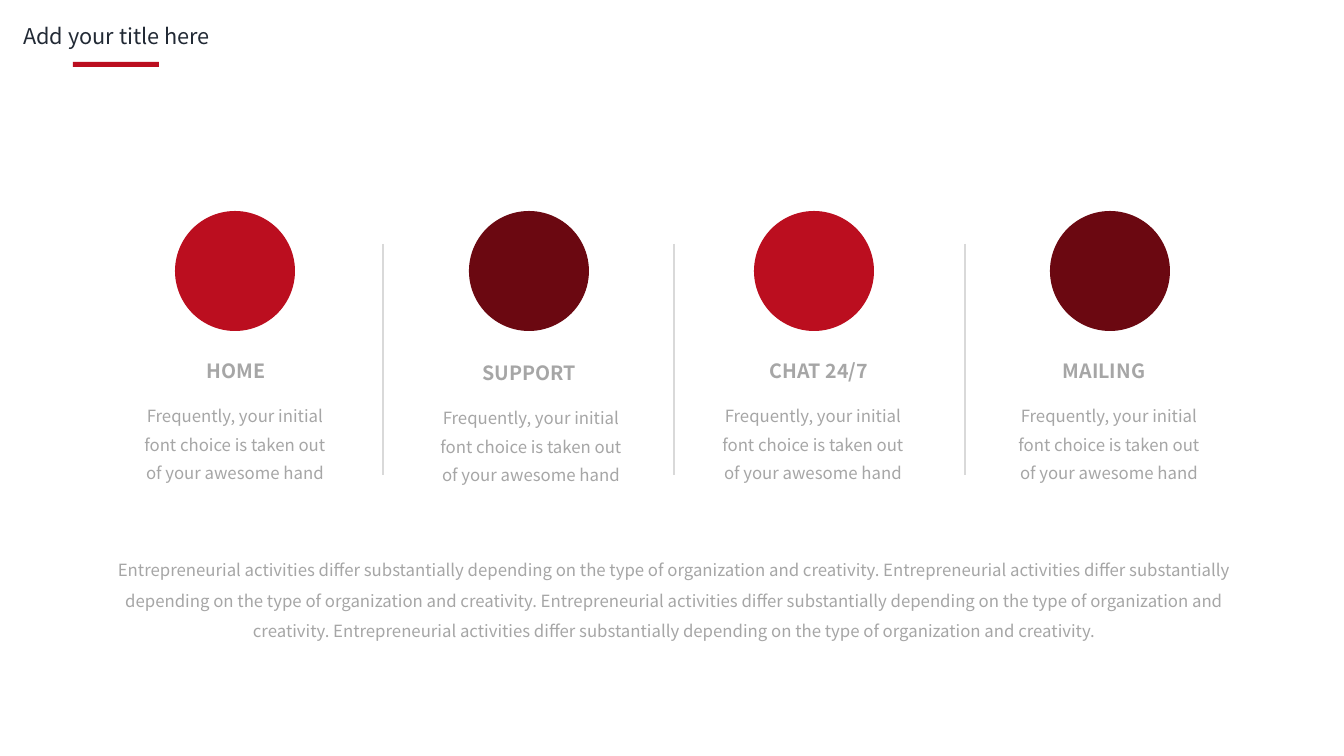
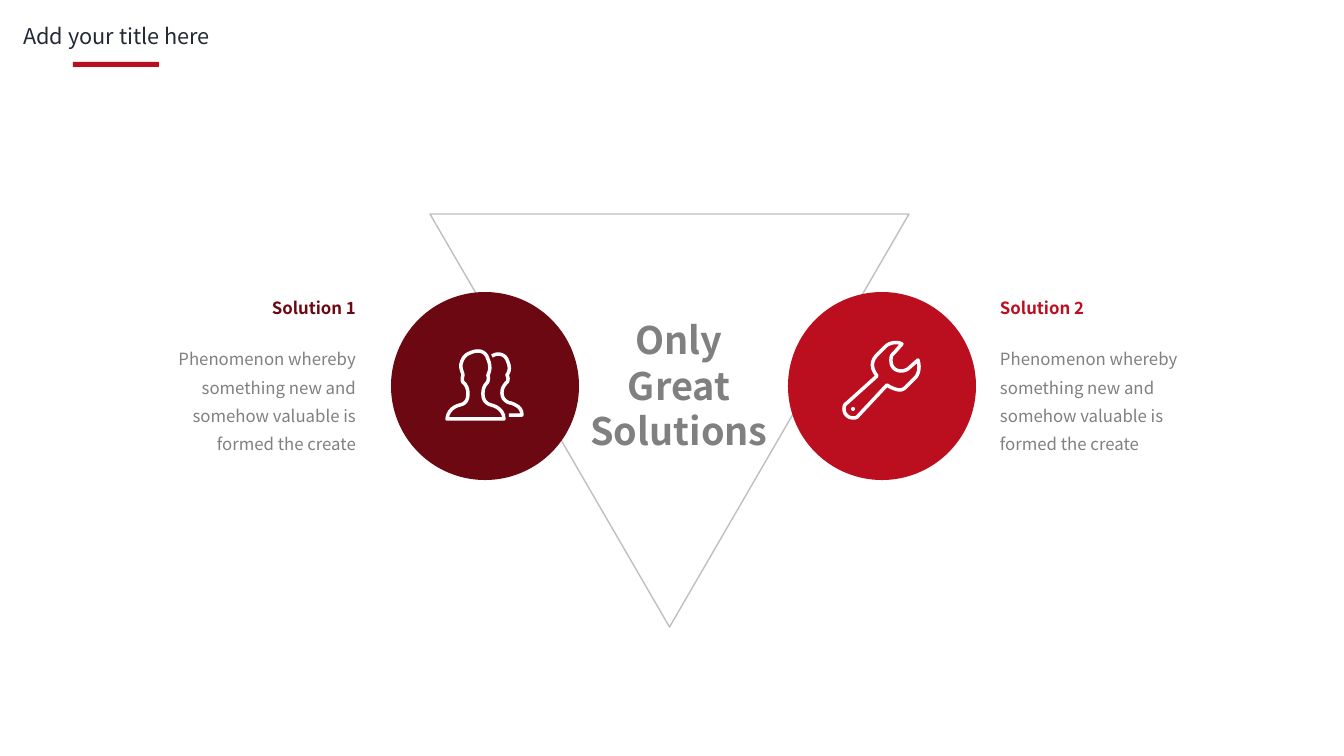
from pptx import Presentation
from pptx.dml.color import RGBColor
from pptx.enum.shapes import MSO_CONNECTOR, MSO_SHAPE as SHAPE
from pptx.enum.text import MSO_ANCHOR, MSO_AUTO_SIZE, PP_ALIGN as ALIGN
from pptx.oxml.ns import qn
from pptx.util import Pt
from lxml import etree

PX = 9071  # EMU per px
FONT = "Noto Sans CJK SC"
RED, DARK_RED, WHITE = "BB0E1F", "6B0811", "FFFFFF"
INK, GREY, LIGHT_GREY = "222A35", "808080", "A6A6A6"
RULE, OUTLINE = "D9D9D9", "BFBFBF"
BODY_LEADING = Pt(20.2)


def rgb(value):
    return RGBColor.from_string(value)


def write(sp, lines, size, color, bold=False, align=ALIGN.CENTER, spacing=1.0, wrap=True):
    """Fill a shape's text frame with one paragraph per line."""
    tf = sp.text_frame
    tf.word_wrap = wrap
    tf.auto_size = MSO_AUTO_SIZE.NONE if wrap else MSO_AUTO_SIZE.SHAPE_TO_FIT_TEXT
    tf.vertical_anchor = MSO_ANCHOR.TOP
    tf.margin_left = tf.margin_right = 10 * PX
    tf.margin_top = tf.margin_bottom = 5 * PX
    for i, line in enumerate(lines):
        p = tf.add_paragraph() if i else tf.paragraphs[0]
        p.alignment = align
        p.line_spacing = spacing
        p.space_before = Pt(0)
        r = p.add_run()
        r.text = line
        r.font.name, r.font.size, r.font.bold = FONT, Pt(size), bold
        r.font.color.rgb = rgb(color)


prs = Presentation()
prs.slide_width, prs.slide_height = 1344 * PX, 756 * PX
services, solutions = [prs.slides.add_slide(prs.slide_layouts[5]) for _ in range(2)]

# Titles
for slide in (services, solutions):
    title = slide.shapes.title
    title.left, title.top, title.width, title.height = [v * PX for v in (6, 13, 221, 40)]
    write(title, ["Add your title here"], 15.5, INK, spacing=1.2, wrap=False)

# Service columns: heading, fill, circle left, heading centre, text centre, text drop
columns = [
    ("HOME", RED, 175, 236, 235, 0),
    ("SUPPORT", DARK_RED, 469, 529, 531, 2),
    ("CHAT 24/7", RED, 754, 819, 813, 0),
    ("MAILING", DARK_RED, 1050, 1104, 1109, 0),
]

# Shapes: slide, preset, box, fill
shapes = [
    (services, SHAPE.RECTANGLE, (73, 62, 86, 5), RED),
    (solutions, SHAPE.RECTANGLE, (73, 62, 86, 5), RED),
    (solutions, SHAPE.ISOSCELES_TRIANGLE, (430, 214, 479, 413), None),
    (solutions, SHAPE.OVAL, (391, 292, 188, 188), DARK_RED),
    (solutions, SHAPE.OVAL, (788, 292, 188, 188), RED),
    (solutions, SHAPE.OVAL, (851, 407, 4, 4), WHITE),
]
shapes += [(services, SHAPE.OVAL, (left, 211, 120, 120), fill)
           for _, fill, left, *_ in columns]
for slide, preset, box, fill in shapes:
    sp = slide.shapes.add_shape(preset, *[v * PX for v in box])
    sp.shadow.inherit = False
    if fill:
        sp.fill.solid()
        sp.fill.fore_color.rgb = rgb(fill)
        sp.line.fill.background()
    else:
        sp.rotation = 180
        sp.fill.background()
        sp.line.color.rgb = rgb(OUTLINE)
        sp.line.width = Pt(1)

# Dividers between the columns
for x in (383, 674, 965):
    line = services.shapes.add_connector(
        MSO_CONNECTOR.STRAIGHT, x * PX, 244 * PX, x * PX, 475 * PX)
    line.line.color.rgb = rgb(RULE)
    line.line.width = Pt(1)
    etree.SubElement(line._element.spPr, qn("a:effectLst"))

# Text boxes: slide, box, lines, formatting
service_text = "Frequently, your initial font choice is taken out of your awesome hand"
activity = ("Entrepreneurial activities differ substantially depending on "
            "the type of organization and creativity.")
solution_text = "Phenomenon whereby something new and somehow valuable is formed the create"
texts = [
    (services, (95, 545, 1159, 132), [" ".join([activity] * 4)],
     dict(size=12, color=LIGHT_GREY, spacing=1.5)),
    (solutions, (579, 312, 200, 147), ["Only", "Great", "Solutions"],
     dict(size=27, color=GREY, bold=True, wrap=False)),
]
for heading, _, _, heading_x, text_x, drop in columns:
    texts += [
        (services, (heading_x - 60, 354 + drop, 120, 34), [heading],
         dict(size=14, color=LIGHT_GREY, bold=True, wrap=False)),
        (services, (text_x - 102, 393 + drop, 204, 120), [service_text],
         dict(size=12, color=LIGHT_GREY, spacing=BODY_LEADING)),
    ]
for heading, color, left, align in (
    ("Solution 1", DARK_RED, 136, ALIGN.RIGHT),
    ("Solution 2", RED, 990, ALIGN.LEFT),
):
    texts += [
        (solutions, (left, 293, 230, 30), [heading],
         dict(size=12, color=color, bold=True, align=align)),
        (solutions, (left, 336, 230, 123), [solution_text],
         dict(size=12, color=GREY, align=align, spacing=BODY_LEADING)),
    ]
for slide, box, lines, style in texts:
    write(slide.shapes.add_textbox(*[v * PX for v in box]), lines, **style)

# Icon outlines: pairs are points joined by lines, sixes are cubic curves
front_person = [
    (447, 419), (448, 410, 455, 406, 460, 405), (464, 404, 468, 402, 468, 394),
    (468, 388, 466, 385, 464, 383), (462, 382, 462, 379, 463, 375),
    (463, 372, 459, 368, 462, 361), (464, 356, 467, 354, 470, 353),
    (472, 352, 475, 351, 478, 351), (481, 351, 486, 352, 488, 359),
    (491, 366, 490, 371, 488, 375), (489, 379, 488, 382, 487, 383),
    (485, 385, 483, 388, 483, 394), (483, 402, 488, 404, 491, 405),
    (496, 406, 504, 410, 504, 419),
]
back_person = [
    (492, 356), (494, 355, 496, 354, 498, 354), (501, 354, 506, 355, 508, 362),
    (510, 367, 510, 371, 507, 375), (509, 379, 508, 382, 506, 383),
    (505, 385, 502, 387, 502, 393), (502, 400, 508, 403, 511, 403),
    (516, 405, 522, 407, 522, 415), (509, 415),
]
wrench = [
    (847, 403), (877, 376), (871, 368, 871, 362, 876, 356), (886, 346),
    (889, 343, 897, 341, 902, 344), (894, 353), (891, 355, 891, 358, 891, 361),
    (891, 367, 895, 371, 901, 371), (904, 371, 907, 370, 909, 368), (918, 360),
    (920, 367, 919, 373, 916, 377), (906, 387), (904, 389, 902, 390, 900, 390),
    (897, 390, 891, 388, 887, 385), (859, 415), (857, 418, 855, 418, 853, 418),
    (848, 418, 844, 414, 844, 409), (844, 406, 845, 404, 847, 403),
]
STEPS = 6
for outline, closed in ((front_person, True), (back_person, False), (wrench, True)):
    points = [outline[0]]
    for segment in outline[1:]:
        if len(segment) == 2:
            points.append(segment)
            continue
        start = points[-1]
        c1, c2, end = segment[:2], segment[2:4], segment[4:]
        for step in range(1, STEPS + 1):
            t = step / STEPS
            u = 1 - t
            points.append(tuple(
                u**3 * a + 3 * u * u * t * b + 3 * u * t * t * c + t**3 * d
                for a, b, c, d in zip(start, c1, c2, end)))
    points = [(round(x * PX), round(y * PX)) for x, y in points]
    builder = solutions.shapes.build_freeform(*points[0])
    builder.add_line_segments(points[1:], close=closed)
    sp = builder.convert_to_shape()
    sp.shadow.inherit = False
    sp.fill.background()
    sp.line.color.rgb = rgb(WHITE)
    sp.line.width = Pt(2.5)
    etree.SubElement(sp.line._get_or_add_ln(), qn("a:round"))

prs.save("out.pptx")
